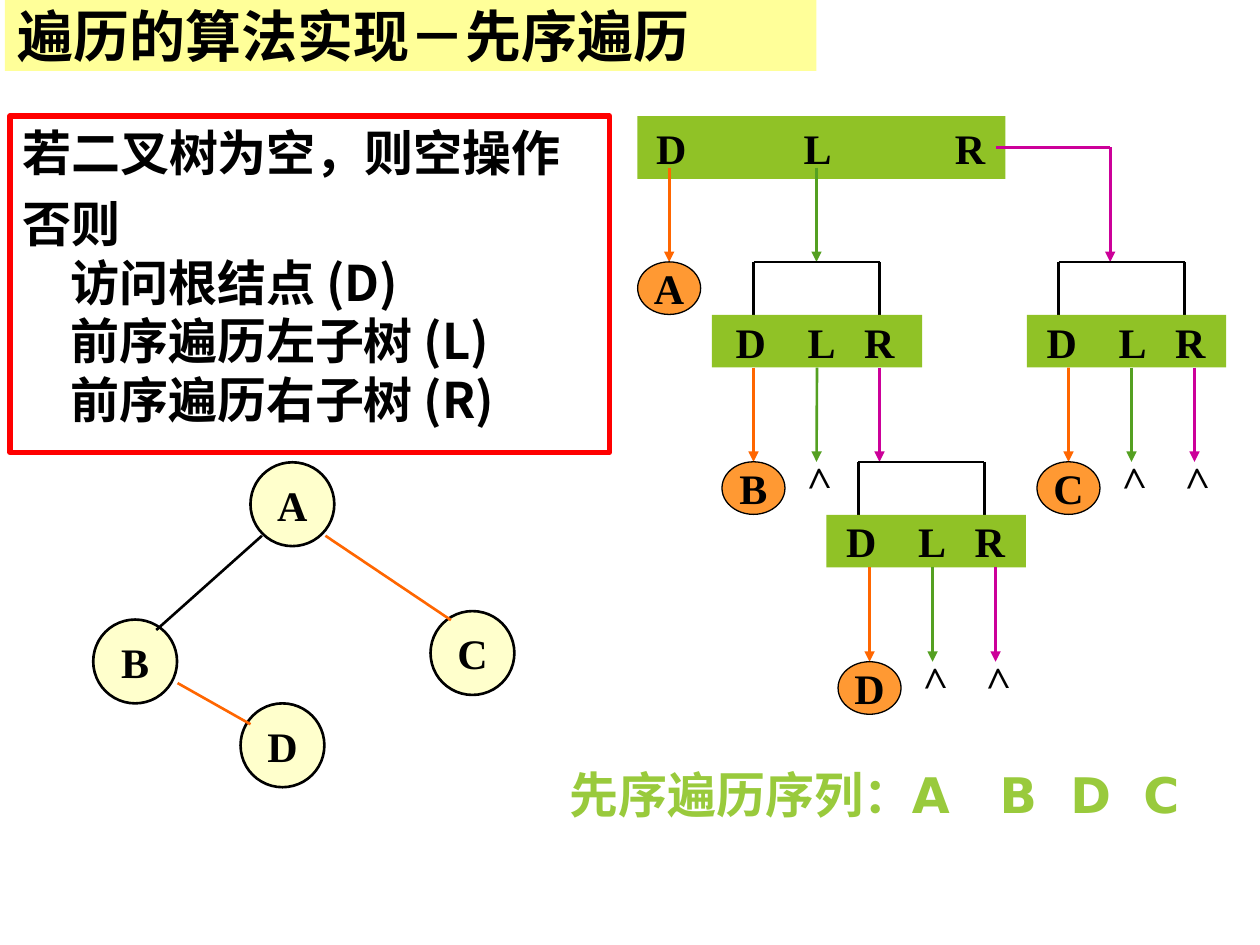
from lxml.etree import SubElement
from pptx import Presentation
from pptx.dml.color import RGBColor
from pptx.enum.shapes import MSO_CONNECTOR as Connector, MSO_SHAPE as Shape
from pptx.enum.text import MSO_ANCHOR as Anchor, PP_ALIGN as Align
from pptx.oxml.ns import qn
from pptx.util import Cm, Pt

BLACK = RGBColor(0x00, 0x00, 0x00)
RED = RGBColor(0xFF, 0x00, 0x00)
ORANGE = RGBColor(0xFF, 0x66, 0x00)
MAGENTA = RGBColor(0xCC, 0x00, 0x99)
GREEN = RGBColor(0x54, 0xA0, 0x21)
FRAME_GREEN = RGBColor(0x90, 0xC2, 0x26)
RESULT_GREEN = RGBColor(0x99, 0xCA, 0x3C)
VISITED = RGBColor(0xFF, 0x99, 0x33)
CREAM = RGBColor(0xFF, 0xFF, 0xCC)
TITLE_YELLOW = RGBColor(0xFF, 0xFF, 0x99)

SERIF, SANS, CHINESE = "Times New Roman", "DejaVu Sans", "Noto Sans CJK SC"
LABEL = {"name": SERIF, "size": Pt(24), "bold": True}
HEADING = {"name": CHINESE, "size": Pt(32), "bold": True}
RULES = {"name": CHINESE, "size": Pt(28), "bold": True}
RESULT = {"name": SANS, "size": Pt(28), "bold": True}

STEP = 1.27           # distance between the D, L and R arrows
FRAME_HEIGHT = 1.06
BRACKET_HEIGHT = 1.07
ARROW_LENGTH = 1.9
TREE_NODE = 1.69


class Diagram:
    def __init__(self, page):
        self.page = page

    def fill_text(self, paragraph, text, style, color=BLACK, tabs=(), **layout):
        """Fill a paragraph; tabs are distances in cm from the text edge."""
        for key, value in layout.items():
            setattr(paragraph, key, value)
        if tabs:
            stops = SubElement(paragraph._p.get_or_add_pPr(), qn("a:tabLst"))
            for stop in tabs:
                SubElement(stops, qn("a:tab"), pos=str(Cm(stop)), algn="l")
        paragraph.text = text
        for span in paragraph.runs:
            for key, value in style.items():
                setattr(span.font, key, value)
            span.font.color.rgb = color
            if style["name"] != SERIF:
                SubElement(span._r.get_or_add_rPr(), qn("a:ea"), typeface=CHINESE)

    def shape(self, kind, left, top, width, height, fill=None, line=None, weight=1.5):
        box = self.page.shapes.add_shape(kind, Cm(left), Cm(top), Cm(width), Cm(height))
        box.shadow.inherit = False
        if fill is None:
            box.fill.background()
        else:
            box.fill.solid()
            box.fill.fore_color.rgb = fill
        if line is None:
            box.line.fill.background()
        else:
            box.line.color.rgb = line
            box.line.width = Pt(weight)
        box.text_frame.word_wrap = True
        box.text_frame.vertical_anchor = Anchor.MIDDLE
        return box

    def node(self, name, left, top, width, height, fill, weight):
        box = self.shape(Shape.OVAL, left, top, width, height, fill, BLACK, weight)
        box.text_frame.word_wrap = False
        self.fill_text(box.text_frame.paragraphs[0], name, LABEL, alignment=Align.CENTER)
        return box

    def text(self, text, left, top, width, height, style, **options):
        box = self.page.shapes.add_textbox(Cm(left), Cm(top), Cm(width), Cm(height))
        box.text_frame.word_wrap = True
        self.fill_text(box.text_frame.paragraphs[0], text, style, **options)
        return box

    def line(self, start, end, color=BLACK, arrow=False):
        line = self.page.shapes.add_connector(
            Connector.STRAIGHT, *(Cm(value) for value in (*start, *end)))
        line.line.color.rgb = color
        line.line.width = Pt(1.5)
        if arrow:
            SubElement(line.line._get_or_add_ln(), qn("a:tailEnd"), type="triangle")
        SubElement(line._element.spPr, qn("a:effectLst"))
        return line

    def frame(self, left, top, width, height, inset, tabs):
        """Draw a green bar labelled D, L and R."""
        box = self.shape(Shape.RECTANGLE, left, top, width, height, FRAME_GREEN)
        box.text_frame.margin_left = Cm(inset)
        self.fill_text(box.text_frame.paragraphs[0], "D\tL\tR", LABEL, tabs=tabs,
                       alignment=Align.LEFT)
        return box

    def visit(self, name, x, start, end):
        """Draw the D arrow down to the visited node."""
        arrow = self.line((x, start), (x, end), ORANGE, arrow=True)
        node = self.node(name, x - 0.635, end, 1.27, 1.06, VISITED, 0.75)
        arrow.end_connect(node, 0)

    def call(self, name, left, top, width, inset, bracket, first, right_empty=True):
        """Draw one recursive call: bracket, bar, arrows and their outcomes."""
        bar = top + BRACKET_HEIGHT
        bottom = bar + FRAME_HEIGHT
        end = bottom + ARROW_LENGTH
        far = bracket + 2 * STEP
        self.line((bracket, top), (far, top))
        for x in (bracket, far):
            self.line((x, top), (x, bar))
        box = self.frame(left, bar, width, FRAME_HEIGHT, inset, (1.45, 2.59))
        self.visit(name, first, bottom, end)
        branches = ((first + STEP, GREEN, True), (first + 2 * STEP, MAGENTA, right_empty))
        for x, color, empty in branches:
            arrow = self.line((x, bottom), (x, end), color, arrow=True)
            if abs(x - left - width / 2) < 0.03:
                arrow.begin_connect(box, 2)
            if empty:
                mark = self.text(">", x - 0.53, end - 0.32, 1.06, 1.27, LABEL)
                mark.rotation = 268.3


def main():
    deck = Presentation()
    deck.slide_width, deck.slide_height = Cm(25.4), Cm(19.05)
    page = deck.slides.add_slide(deck.slide_layouts[6])
    diagram = Diagram(page)

    title = diagram.shape(Shape.RECTANGLE, 0.1, 0, 16.36, 1.43, TITLE_YELLOW)
    diagram.fill_text(title.text_frame.paragraphs[0], "遍历的算法实现－先序遍历", HEADING,
                      alignment=Align.LEFT)

    rules = diagram.shape(Shape.RECTANGLE, 0.2, 2.34, 12.09, 6.78, line=RED, weight=3)
    frame = rules.text_frame
    frame.vertical_anchor = Anchor.TOP
    steps = "否则\v访问根结点 (D)\v前序遍历左子树 (L)\v前序遍历右子树 (R)"
    for paragraph, text in ((frame.paragraphs[0], "若二叉树为空，则空操作"),
                            (frame.add_paragraph(), steps)):
        properties = paragraph._p.get_or_add_pPr()
        properties.set("marL", str(Cm(0.97)))
        properties.set("indent", str(Cm(-0.97)))
        diagram.fill_text(paragraph, text, RULES, alignment=Align.LEFT)
    paragraph.space_before = Pt(7)

    diagram.frame(12.85, 2.34, 7.42, 1.27, 0.38, (2.97, 6.02))
    diagram.visit("A", 13.49, 3.38, 5.28)
    diagram.line((16.46, 3.38), (16.46, 5.28), GREEN, arrow=True)
    diagram.line((20.07, 2.97), (22.38, 2.97), MAGENTA)
    diagram.line((22.38, 2.97), (22.38, 5.28), MAGENTA, arrow=True)
    diagram.call("B", 14.35, 5.28, 4.24, 0.48, 15.19, 15.19, right_empty=False)
    diagram.call("D", 16.66, 9.31, 4.02, 0.4, 17.3, 17.53)
    diagram.call("C", 20.7, 5.28, 4.02, 0.4, 21.34, 21.54)

    tree = {"A": (5.05, 9.32), "B": (1.88, 12.49), "C": (8.68, 12.32), "D": (4.85, 14.18)}
    for name, (left, top) in tree.items():
        diagram.node(name, left, top, TREE_NODE, TREE_NODE, CREAM, 1.5)
    diagram.line((5.28, 10.8), (3.15, 12.7))
    diagram.line((6.56, 10.8), (9.09, 12.5), ORANGE)
    diagram.line((3.58, 13.77), (5.05, 14.6), ORANGE)

    diagram.text("先序遍历序列：A\tB\tD\tC", 11.23, 15.29, 13.18, 1.45, RESULT,
                 color=RESULT_GREEN, tabs=(8.67, 10.1, 11.57))
    deck.save("out.pptx")


if __name__ == "__main__":
    main()
